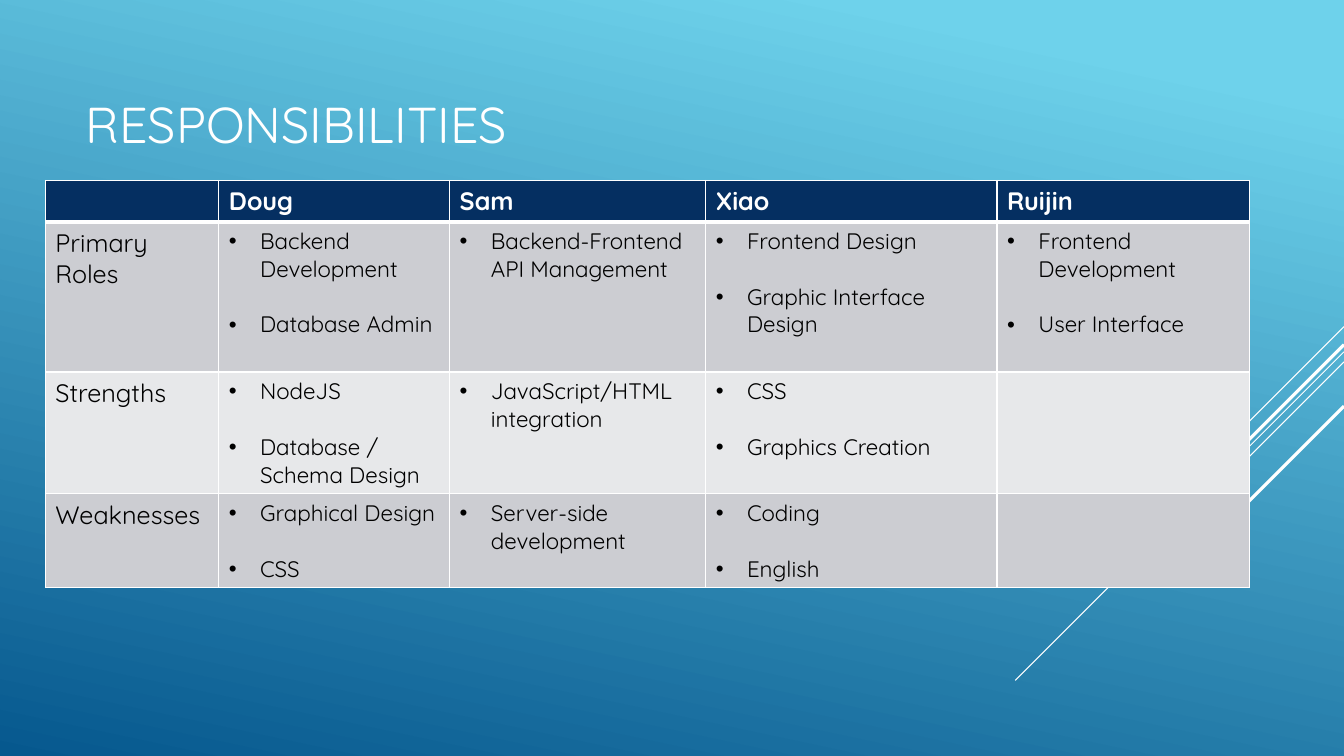
from dataclasses import dataclass

from lxml import etree
from pptx import Presentation
from pptx import util as u
from pptx.dml.color import RGBColor
from pptx.enum import shapes, text
from pptx.oxml import ns

WHITE = RGBColor(0xFF, 0xFF, 0xFF)
BLACK = RGBColor(0x00, 0x00, 0x00)
NAVY = RGBColor(0x05, 0x2F, 0x61)
DARK_BAND = RGBColor(0xCC, 0xCD, 0xD2)
LIGHT_BAND = RGBColor(0xE7, 0xE8, 0xEA)
SKY = RGBColor(0x6E, 0xD2, 0xEB)
OCEAN = RGBColor(0x06, 0x58, 0x8E)
FONT = "Quicksand"
SLIDE_WIDTH = 13.33
COLUMN_WIDTHS = (1.72, 2.29, 2.54, 2.89, 2.5)
HEADER_HEIGHT = 0.41
MEMBERS = ("", "Doug", "Sam", "Xiao", "Ruijin")


@dataclass(frozen=True)
class Ray:
    top: float
    run: float
    weight: float


@dataclass(frozen=True)
class Topic:
    label: str
    height: float
    band: RGBColor
    entries: tuple[tuple[str, ...], ...]


RAYS = (
    Ray(3.24, 1.0, 0.75),
    Ray(3.49, 3.26, 0.75),
    Ray(3.59, 2.07, 0.75),
    Ray(3.42, 1.91, 2.25),
    Ray(4.03, 1.39, 2.25),
)

TOPICS = (
    Topic("Primary Roles", 1.49, DARK_BAND, (
        ("Backend Development", "Database Admin"),
        ("Backend-Frontend API Management",),
        ("Frontend Design", "Graphic Interface Design"),
        ("Frontend Development", "User Interface"),
    )),
    Topic("Strengths", 1.21, LIGHT_BAND, (
        ("NodeJS", "Database / Schema Design"),
        ("JavaScript/HTML integration",),
        ("CSS", "Graphics Creation"),
        (),
    )),
    Topic("Weaknesses", 0.93, DARK_BAND, (
        ("Graphical Design", "CSS"),
        ("Server-side development",),
        ("Coding", "English"),
        (),
    )),
)


def style_runs(paragraph, size: float, color: RGBColor, bold: bool = False) -> None:
    for run in paragraph.runs:
        run.font.name = FONT
        run.font.size = u.Pt(size)
        run.font.bold = bold
        run.font.color.rgb = color


def paint_background(slide) -> None:
    fill = slide.background.fill
    fill.gradient()
    fill.gradient_angle = 360 - 102
    for stop, position, color in zip(fill.gradient_stops, (0.1, 1.0), (SKY, OCEAN)):
        stop.position = position
        stop.color.rgb = color


def draw_ray(slide, ray: Ray) -> None:
    connector = slide.shapes.add_connector(
        shapes.MSO_CONNECTOR.STRAIGHT,
        u.Inches(SLIDE_WIDTH), u.Inches(ray.top),
        u.Inches(SLIDE_WIDTH - ray.run), u.Inches(ray.top + ray.run),
    )
    connector.line.color.rgb = WHITE
    connector.line.width = u.Pt(ray.weight)
    etree.SubElement(connector._element.spPr, ns.qn("a:effectLst"))


def draw_title(slide) -> None:
    shape = slide.shapes.add_textbox(
        u.Inches(0.75), u.Inches(0.4), u.Inches(9.33), u.Inches(1.65))
    frame = shape.text_frame
    frame.word_wrap = True
    frame.vertical_anchor = text.MSO_ANCHOR.MIDDLE
    frame.text = "RESPONSIBILITIES"
    style_runs(frame.paragraphs[0], 36, WHITE)


def format_cell(cell, color: RGBColor, top: float = 1, bottom: float = 1) -> None:
    properties = cell._tc.get_or_add_tcPr()
    for side, weight in (("L", 1), ("R", 1), ("T", top), ("B", bottom)):
        border = etree.SubElement(
            properties, ns.qn(f"a:ln{side}"), w=str(u.Pt(weight)))
        solid = etree.SubElement(border, ns.qn("a:solidFill"))
        etree.SubElement(solid, ns.qn("a:srgbClr"), val=str(WHITE))
    cell.fill.solid()
    cell.fill.fore_color.rgb = color


def write_label(cell, label: str, color: RGBColor, bold: bool = False) -> None:
    cell.text_frame.text = label
    style_runs(cell.text_frame.paragraphs[0], 18, color, bold)


def write_bullets(cell, entries: tuple[str, ...]) -> None:
    cell.text_frame.text = "\n".join(entries)
    for index, paragraph in enumerate(cell.text_frame.paragraphs[:len(entries)]):
        paragraph.space_before = u.Pt(20 if index else 0)
        style_runs(paragraph, 16, BLACK)
        properties = paragraph._p.get_or_add_pPr()
        indent = u.Inches(0.31)
        properties.set("marL", str(indent))
        properties.set("indent", str(-indent))
        etree.SubElement(properties, ns.qn("a:buFont"), typeface="Arial")
        etree.SubElement(properties, ns.qn("a:buChar"), char="•")


def draw_table(slide) -> None:
    heights = (HEADER_HEIGHT, *(topic.height for topic in TOPICS))
    table = slide.shapes.add_table(
        len(heights), len(COLUMN_WIDTHS), u.Inches(0.45), u.Inches(1.79),
        u.Inches(sum(COLUMN_WIDTHS)), u.Inches(sum(heights))).table
    for column, width in zip(table.columns, COLUMN_WIDTHS):
        column.width = u.Inches(width)
    for row, height in zip(table.rows, heights):
        row.height = u.Inches(height)
    for index, member in enumerate(MEMBERS):
        cell = table.cell(0, index)
        format_cell(cell, NAVY, bottom=3)
        write_label(cell, member, WHITE, bold=True)
    for row_index, topic in enumerate(TOPICS, 1):
        for column_index in range(len(COLUMN_WIDTHS)):
            cell = table.cell(row_index, column_index)
            format_cell(cell, topic.band, top=3 if row_index == 1 else 1)
            if column_index == 0:
                write_label(cell, topic.label, BLACK)
            else:
                write_bullets(cell, topic.entries[column_index - 1])


def main() -> None:
    presentation = Presentation()
    presentation.slide_width = u.Inches(SLIDE_WIDTH)
    presentation.slide_height = u.Inches(7.5)
    slide = presentation.slides.add_slide(presentation.slide_layouts[6])
    paint_background(slide)
    for ray in RAYS:
        draw_ray(slide, ray)
    draw_title(slide)
    draw_table(slide)
    presentation.save("out.pptx")


if __name__ == "__main__":
    main()
